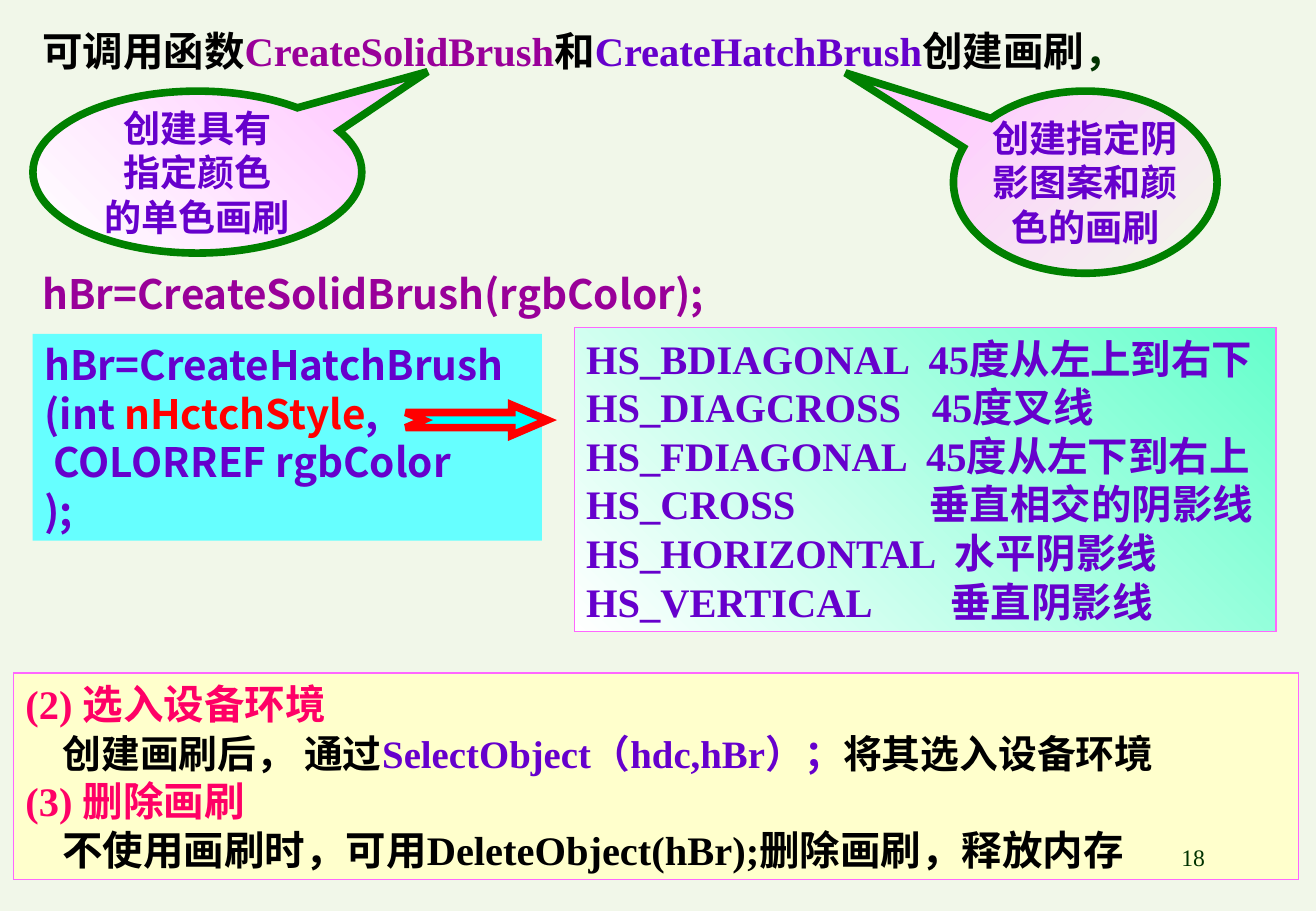
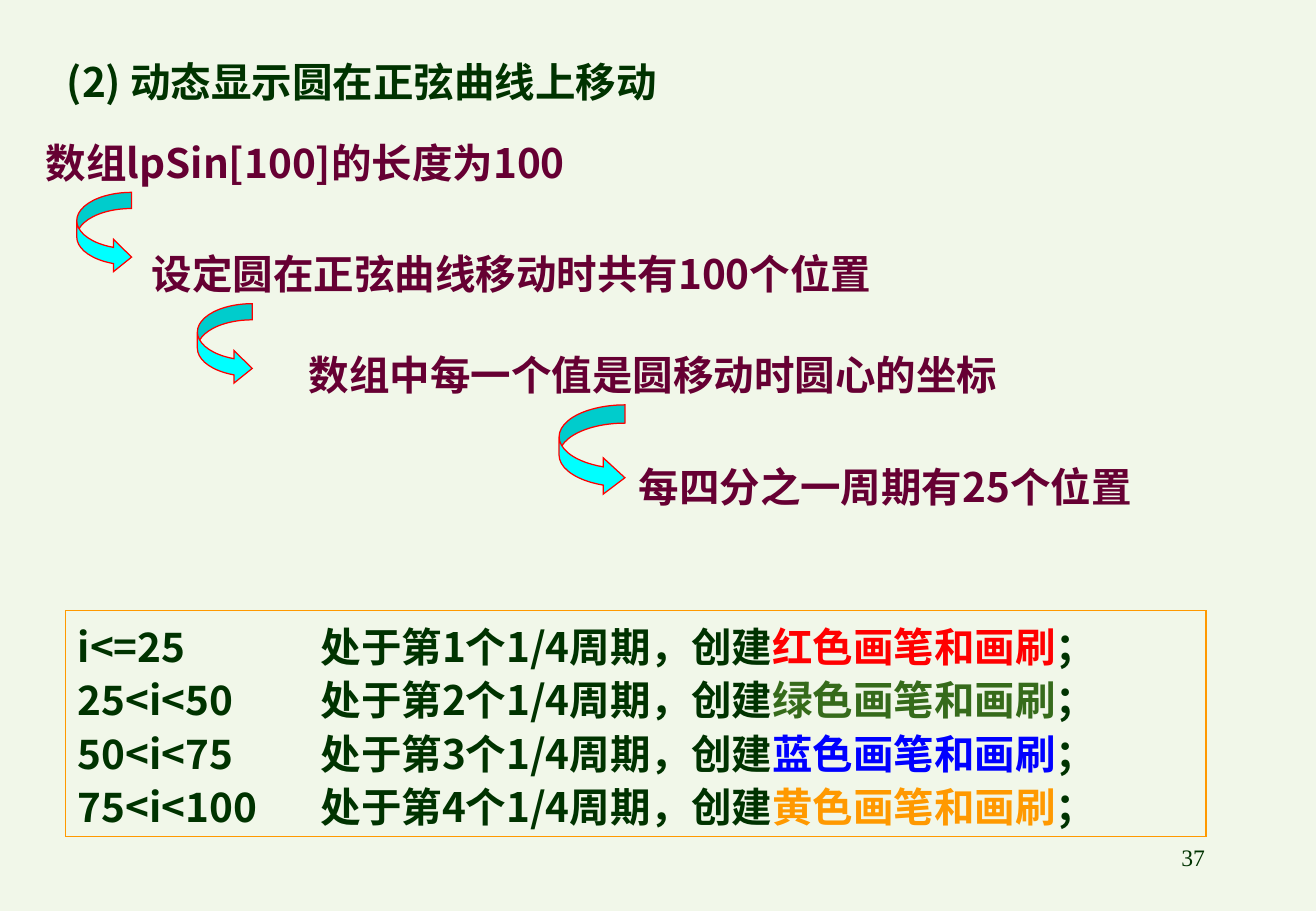
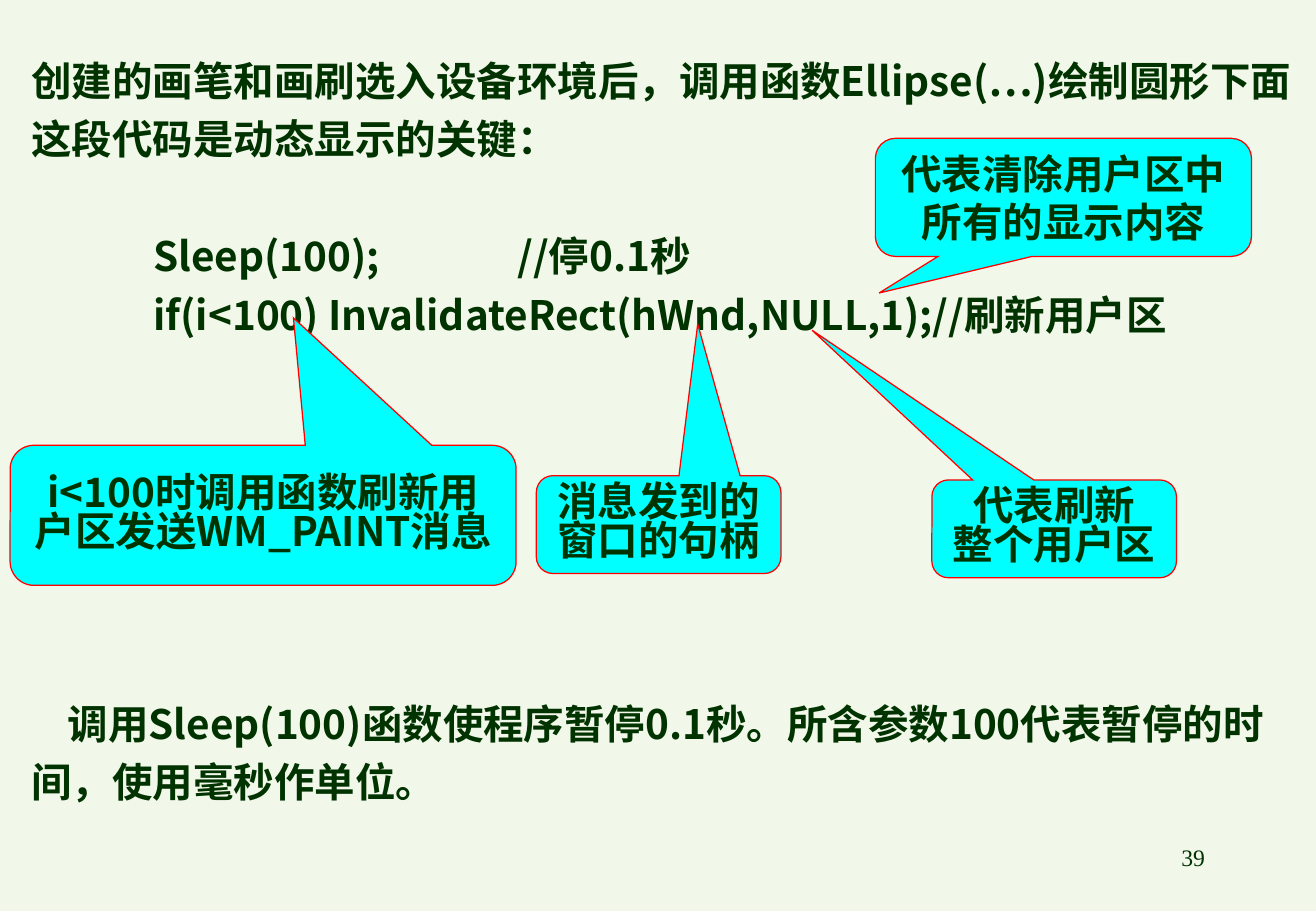
from pptx import Presentation
from pptx.dml.color import RGBColor
from pptx.enum.shapes import MSO_SHAPE as Kind
from pptx.enum.text import MSO_ANCHOR as Anchor, PP_ALIGN as Align
from pptx.oxml.ns import qn
from pptx.util import Pt
from lxml.etree import SubElement

INK = {
    "page": "F1F7E9", "dark": "003300", "black": "000000", "plum": "990099",
    "violet": "6600CC", "rose": "FF0066", "wine": "660033", "red": "FF0000",
    "green": "366B1B", "blue": "0000FF", "orange": "FF9900", "rim": "008000",
    "pink": "FFCCFF", "white": "FFFFFF", "cream": "FFFFCC", "sky": "66FFFF",
    "mint": "66FFCC", "edge": "FF66FF", "cyan": "00FFFF",
}
SANS, SERIF = "Noto Sans CJK SC", "Times New Roman"

INTRO = [["可调用函数", ("CreateSolidBrush", "plum"), "和",
          ("CreateHatchBrush", "violet"), "创建画刷", ("，", "dark")]]
SOLID = ["hBr=CreateSolidBrush(rgbColor);"]
HATCH = ["hBr=CreateHatchBrush", ["(int ", ("nHctchStyle", "red"), ","],
         " COLORREF rgbColor", ");"]
STYLES = [
    ("HS_BDIAGONAL", 203, "45度从左上到右下"),
    ("HS_DIAGCROSS", 205, "45度叉线"),
    ("HS_FDIAGONAL", 201.5, "45度从左下到右上"),
    ("HS_CROSS", 203.5, "垂直相交的阴影线"),
    ("HS_HORIZONTAL", 218.5, "水平阴影线"),
    ("HS_VERTICAL", 216, "垂直阴影线"),
]
BUBBLES = [
    ((19.5, 54, 195, 96), (0.7, -0.62), ("pink", "white", 225),
     ["创建具有", "指定颜色", "的单色画刷"]),
    ((565.3, 54, 156.3, 108), (-0.91, -0.6), ("page", "pink", 135),
     ["创建指定阴", "影图案和颜", "色的画刷"]),
]
USAGE = [
    ([("(2) 选入设备环境", "rose")], 24, 0),
    (["创建画刷后， 通过", ("SelectObject（hdc,hBr）；", "violet"),
      "将其选入设备环境"], 23, 22),
    ([("(3) 删除画刷", "rose")], 24, 0),
    (["不使用画刷时，可用DeleteObject(hBr);删除画刷，释放内存"], 24, 22),
]

MOTION = ["(2) 动态显示圆在正弦曲线上移动"]
STEPS = [
    (20, 84, "数组lpSin[100]的长度为100"),
    (83, 150, "设定圆在正弦曲线移动时共有100个位置"),
    (176, 210, "数组中每一个值是圆移动时圆心的坐标"),
    (371.5, 276, "每四分之一周期有25个位置"),
]
CURVES = [(45.5, 114, 32.5, 48), (117, 180, 32.5, 48), (331.5, 240, 39, 54)]
PHASES = [("i<=25", "红", "red"), ("25<i<50", "绿", "green"),
          ("50<i<75", "蓝", "blue"), ("75<i<100", "黄", "orange")]

KEY = ["创建的画笔和画刷选入设备环境后，调用函数Ellipse(…)绘制圆形下面这段代码是动态显示的关键："]
CODE = ["Sleep(100);\t//停0.1秒",
        "if(i<100) InvalidateRect(hWnd,NULL,1);//刷新用户区"]
PAUSE = ["调用Sleep(100)函数使程序暂停0.1秒。所含参数100代表暂停的时间，使用毫秒作单位。"]
NOTES = [
    ((6, 264, 300, 83), (0.06, -1.41), 0.8, True,
     ["i<100时调用函数刷新用户区发送WM_PAINT消息"]),
    ((318, 282, 145, 58), (0.16, -2.05), 0.8, False,
     ["消息发到的", "窗口的句柄"]),
    ((552.5, 284.5, 145, 58), (-0.99, -2.03), 0.8, False,
     ["代表刷新", "整个用户区"]),
    ((519, 82, 223, 70), (-0.49, 0.81), 1, False,
     ["代表清除用户区中", "所有的显示内容"]),
]


def rgb(name):
    return RGBColor.from_string(INK[name])


def shape(slide, kind, at, fill=None, line=None, width=0.75, adj=()):
    item = slide.shapes.add_shape(kind, *map(Pt, at))
    item.shadow.inherit = False
    for i, value in enumerate(adj):
        item.adjustments[i] = value
    if fill is None:
        item.fill.background()
    elif isinstance(fill, tuple):
        item.fill.gradient()
        item.fill.gradient_angle = fill[2]
        for stop, name in zip(item.fill.gradient_stops, fill):
            stop.color.rgb = rgb(name)
    else:
        item.fill.solid()
        item.fill.fore_color.rgb = rgb(fill)
    if line:
        item.line.color.rgb = rgb(line)
        item.line.width = Pt(width)
        SubElement(item.line._get_or_add_ln(), qn("a:miter"), lim="800000")
    else:
        item.line.fill.background()
    return item


def style(para, face, size, pitch, align, tab, indent):
    props = para._p.get_or_add_pPr()
    if indent:
        props.set("indent", str(Pt(indent)))
    if tab:
        stops = SubElement(props, qn("a:tabLst"))
        SubElement(stops, qn("a:tab"), pos=str(Pt(tab)), algn="l")
    para.alignment = align
    para.line_spacing = Pt(pitch)
    for run in para.runs:
        run.font.name = face
        run.font.size = Pt(size)
        SubElement(run._r.get_or_add_rPr(), qn("a:ea"), typeface=SANS)


def write(item, paras, color="dark", face=SANS, size=24, lead=1, bold=True,
          align=Align.LEFT, anchor=Anchor.TOP, wrap=True, tabs=(), sizes=(),
          dents=()):
    frame = item.text_frame
    frame.word_wrap = wrap
    frame.vertical_anchor = anchor
    frame.margin_right = 0 if align == Align.LEFT else Pt(7.2)
    pitch = round(size * 1.2 * lead, 2)
    for i, runs in enumerate(paras):
        para = frame.add_paragraph() if i else frame.paragraphs[0]
        for part in [runs] if isinstance(runs, str) else runs:
            words, tint = (part, color) if isinstance(part, str) else part
            run = para.add_run()
            run.text = words
            run.font.bold = bold
            run.font.color.rgb = rgb(tint)
        style(para, face, sizes[i] if sizes else size, pitch, align,
              tabs[i] if tabs else 0, dents[i] if dents else 0)


def label(slide, at, paras, **look):
    write(slide.shapes.add_textbox(*map(Pt, at)), paras, **look)


def footer(slide, number):
    label(slide, (558.5, 496, 163, 36), [str(number)], face=SERIF, size=14,
          bold=False, align=Align.RIGHT)


def brushes(slide):
    label(slide, (18, 12.2, 742, 36), INTRO, color="black", face=SERIF)
    label(slide, (18, 156.2, 742, 36), SOLID, color="plum")
    for at, adj, fill, lines in BUBBLES:
        oval = shape(slide, Kind.OVAL_CALLOUT, at, fill, "rim", 4.5, adj)
        write(oval, lines, color="violet", face=SERIF, size=22,
              align=Align.CENTER, anchor=Anchor.MIDDLE, wrap=False)
    usage = shape(slide, Kind.RECTANGLE, (8, 399, 762, 122.5), "cream", "edge")
    lines, sizes, dents = zip(*USAGE)
    write(usage, lines, color="black", face=SERIF, sizes=sizes, dents=dents)
    hatch = shape(slide, Kind.RECTANGLE, (19.3, 198, 302, 122.5), "sky")
    write(hatch, HATCH, color="violet")
    styles = shape(slide, Kind.RECTANGLE, (340.5, 194.3, 416, 180),
                   ("mint", "white", 225), "edge")
    write(styles, [f"{name}\t{use}" for name, _, use in STYLES],
          color="violet", face=SERIF, tabs=[stop for _, stop, _ in STYLES])
    shape(slide, Kind.NOTCHED_RIGHT_ARROW, (240.5, 240, 84, 18), "cyan", "red",
          4.5, (0.5, 1.17))


def motion(slide):
    label(slide, (32.5, 30.2, 723, 36), MOTION)
    for left, top, words in STEPS:
        label(slide, (left, top, 400 if left > 300 else 500, 30), [words],
              color="wine", lead=0.8)
    for at in CURVES:
        ratio = at[3] / at[2]
        shape(slide, Kind.CURVED_RIGHT_ARROW, at, "cyan", "red",
              adj=(0.2 * ratio, 0.4 * ratio, 0.33))
    box = shape(slide, Kind.RECTANGLE, (39, 362, 676, 134), line="orange")
    lines = [[f"{span}\t处于第{i}个1/4周期，创建", (f"{hue}色画笔和画刷", ink), "；"]
             for i, (span, hue, ink) in enumerate(PHASES, 1)]
    write(box, lines, lead=1.1, tabs=[144] * len(lines))


def redraw(slide):
    label(slide, (11.5, 24, 755, 76), KEY, lead=1.2)
    label(slide, (83.8, 127.8, 680, 76), CODE, lead=1.2, tabs=[216, 0])
    label(slide, (11.5, 404.8, 742, 76), PAUSE, lead=1.2, dents=[21.6])
    for at, tip, lead, wrap, lines in NOTES:
        note = shape(slide, Kind.ROUNDED_RECTANGULAR_CALLOUT, at, "cyan", "red",
                     adj=(*tip, 0.17))
        write(note, lines, lead=lead, align=Align.CENTER, anchor=Anchor.MIDDLE,
              wrap=wrap)


def main():
    deck = Presentation()
    deck.slide_width, deck.slide_height = Pt(780.25), Pt(540)
    back = deck.slide_master.background.fill
    back.solid()
    back.fore_color.rgb = rgb("page")
    for build, number in ((brushes, 18), (motion, 37), (redraw, 39)):
        slide = deck.slides.add_slide(deck.slide_layouts[6])
        build(slide)
        footer(slide, number)
    deck.save("out.pptx")


if __name__ == "__main__":
    main()
